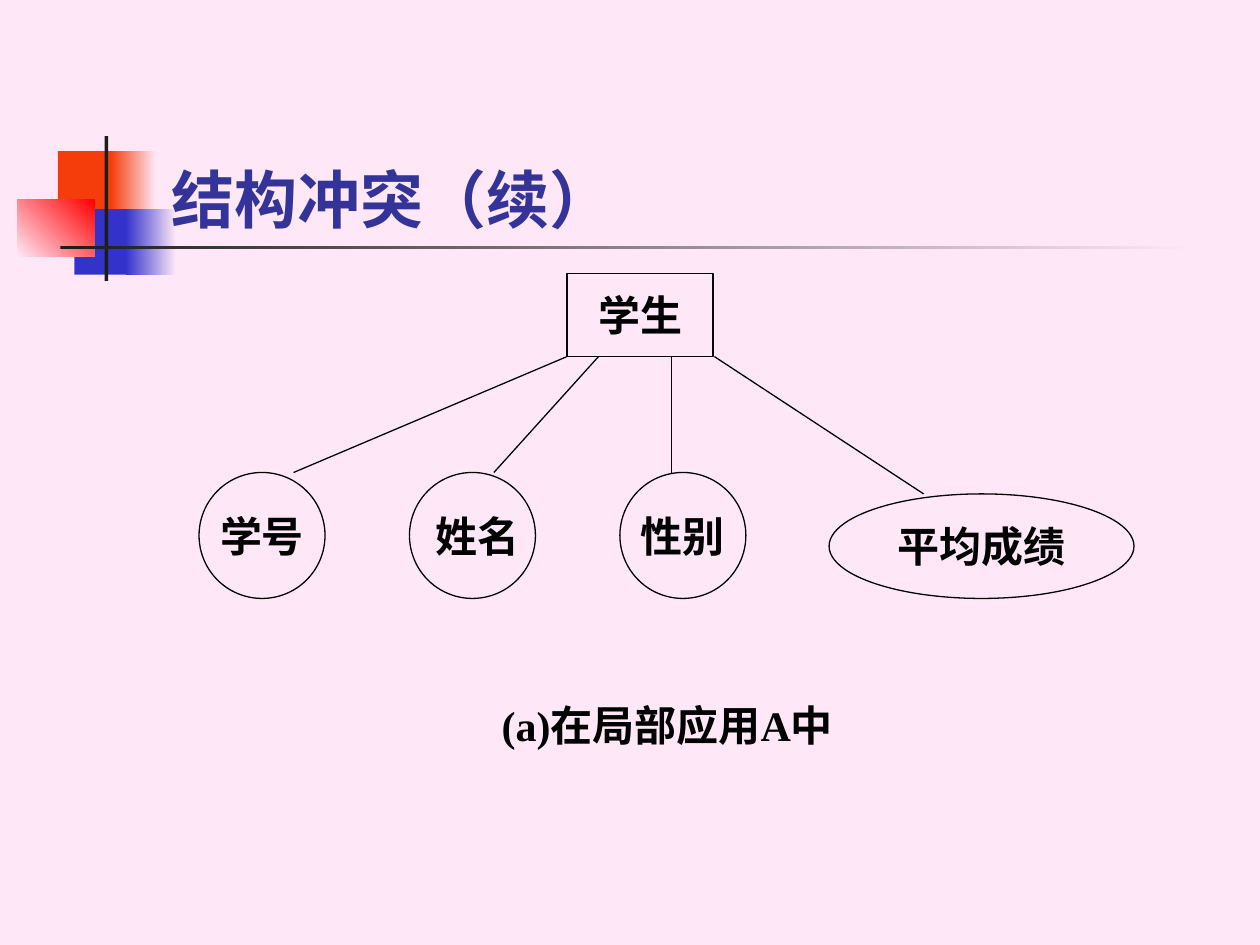
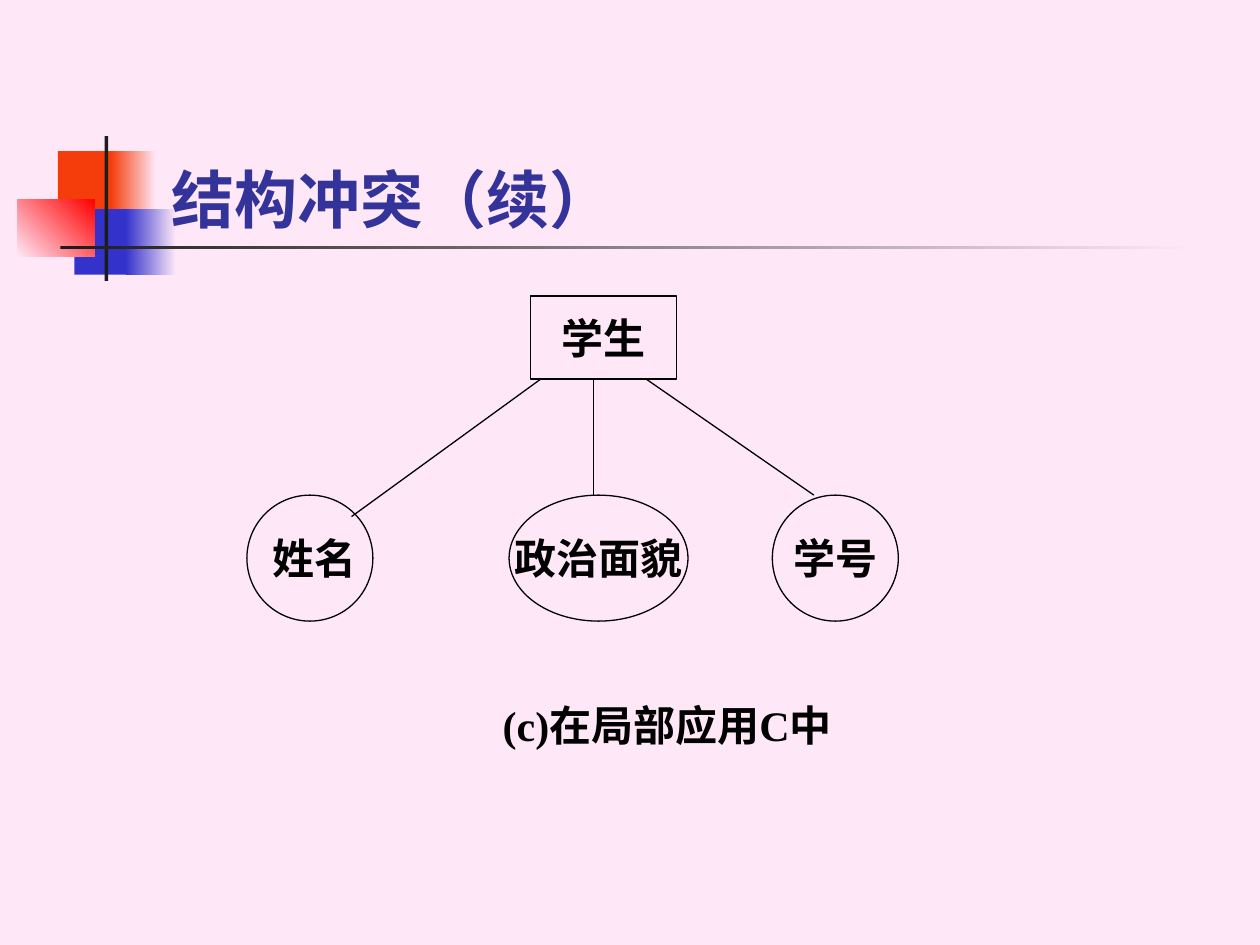
from dataclasses import dataclass

from lxml import etree
from pptx import Presentation
from pptx.dml.color import RGBColor
from pptx.enum.shapes import MSO_CONNECTOR, MSO_SHAPE
from pptx.enum.text import MSO_ANCHOR, PP_ALIGN
from pptx.oxml.ns import qn
from pptx.util import Inches, Pt

RECT, ELLIPSE = MSO_SHAPE.RECTANGLE, MSO_SHAPE.OVAL
STRAIGHT = MSO_CONNECTOR.STRAIGHT
LEFT, CENTER = PP_ALIGN.LEFT, PP_ALIGN.CENTER
MIDDLE, BOTTOM = MSO_ANCHOR.MIDDLE, MSO_ANCHOR.BOTTOM


@dataclass(frozen=True)
class Theme:
    paper: str = "FEE8F7"
    ink: str = "000000"
    title: str = "333399"
    orange: str = "F53D0B"
    blue: str = "3333CC"
    red: str = "FF0000"
    bar: str = "1C1C1C"
    title_font: str = "Lato"
    body_font: str = "Times New Roman"
    title_size: int = 36
    body_size: int = 24
    line_width: float = 0.75


@dataclass(frozen=True)
class Attribute:
    """An attribute ellipse and the line that joins it to its entity."""
    label: str
    left: float
    line_from: float
    line_to: float
    width: float = 1
    drop: float = 0       # ellipse top below the attribute row
    line_drop: float = 0  # line end below the attribute row


THEME = Theme()

# Corner ornament: position, colours (two make a gradient), gradient angle
ORNAMENT = [
    ((0.46, 1.2, 0.48, 0.52), (THEME.orange,), 0),
    ((0.88, 1.2, 0.36, 0.52), (THEME.orange, THEME.paper), 0),
    ((0.59, 1.66, 0.46, 0.52), (THEME.blue,), 0),
    ((1, 1.66, 0.4, 0.52), (THEME.blue, THEME.paper), 0),
    ((0.14, 1.58, 0.61, 0.46), (THEME.paper, THEME.red), 45),
    ((0.83, 1.08, 0.03, 1.15), (THEME.bar,), 0),
    ((0.48, 1.95, 9, 0.03), (THEME.bar, THEME.paper), 0),
]

ENTITY_WIDTH, ENTITY_HEIGHT = 1.16, 0.66
ROW_OFFSET = 1.58  # from the entity's top to the attribute row
TITLE = "结构冲突（续）"

# Caption, entity position, attributes
DIAGRAMS = [
    ("(a)在局部应用A中", (4.5, 2.17), [
        Attribute("学号", 1.58, 4.5, 2.33),
        Attribute(" 姓名", 3.25, 4.75, 3.92),
        Attribute("性别", 4.92, 5.33, 5.33),
        Attribute("平均成绩", 6.58, 5.67, 7.33, width=2.42, drop=0.17, line_drop=0.17),
    ]),
    ("(c)在局部应用C中", (4.21, 2.35), [
        Attribute(" 姓名", 1.96, 4.29, 2.79, line_drop=0.17),
        Attribute("政治面貌", 4.04, 4.71, 4.71, width=1.42),
        Attribute("学号", 6.13, 5.13, 6.46),
    ]),
]


def inches(values):
    return [Inches(value) for value in values]


def rgb(colour):
    return RGBColor.from_string(colour)


class Deck:
    def __init__(self, theme):
        self.theme = theme
        self.prs = Presentation()
        self.prs.slide_width, self.prs.slide_height = Inches(10), Inches(7.5)
        paper = self.prs.slide_master.background.fill
        paper.solid()
        paper.fore_color.rgb = rgb(theme.paper)
        self.slide = None

    def new_slide(self, title):
        self.slide = self.prs.slides.add_slide(self.prs.slide_layouts[6])
        for box, colours, angle in ORNAMENT:
            self.block(box, colours, angle)
        t = self.theme
        self.text((1.26, 0.67, 8.52, 1.25), title, anchor=BOTTOM, align=LEFT,
                  wrap=True, font=t.title_font, size=t.title_size, colour=t.title)

    def block(self, box, colours, angle):
        """Draw an ornament rectangle, plain or shaded."""
        block = self.slide.shapes.add_shape(RECT, *inches(box))
        block.shadow.inherit = False
        block.line.fill.background()
        if len(colours) == 1:
            block.fill.solid()
            block.fill.fore_color.rgb = rgb(colours[0])
        else:
            block.fill.gradient()
            block.fill.gradient_angle = angle
            for stop, colour in zip(block.fill.gradient_stops, colours):
                stop.color.rgb = rgb(colour)

    def outline(self, line):
        line.color.rgb = rgb(self.theme.ink)
        line.width = Pt(self.theme.line_width)

    def set_words(self, frame, words, anchor=MIDDLE, align=CENTER, wrap=False,
                  font=None, size=None, colour=None):
        frame.word_wrap = wrap
        frame.vertical_anchor = anchor
        paragraph = frame.paragraphs[0]
        paragraph.alignment = align
        run = paragraph.add_run()
        run.text = words
        run.font.color.rgb = rgb(colour or self.theme.ink)
        formats = {"name": font or self.theme.body_font,
                   "size": Pt(size or self.theme.body_size),
                   "bold": True}
        for name, value in formats.items():
            setattr(run.font, name, value)

    def text(self, box, words, **style):
        self.set_words(self.slide.shapes.add_textbox(*inches(box)).text_frame, words, **style)

    def node(self, kind, box, label):
        node = self.slide.shapes.add_shape(kind, *inches(box))
        node.shadow.inherit = False
        node.fill.background()
        self.outline(node.line)
        self.set_words(node.text_frame, label)

    def link(self, start, end):
        link = self.slide.shapes.add_connector(STRAIGHT, *inches(start + end))
        self.outline(link.line)
        etree.SubElement(link._element.spPr, qn("a:effectLst"))

    def diagram(self, entity, attributes):
        """Draw the entity 学生 above its row of attributes."""
        left, top = entity
        row = top + ROW_OFFSET
        self.node(RECT, (left, top, ENTITY_WIDTH, ENTITY_HEIGHT), "学生")
        for item in attributes:
            self.node(ELLIPSE, (item.left, row + item.drop, item.width, 1 - item.drop),
                      item.label)
        for item in attributes:
            self.link((item.line_from, top + ENTITY_HEIGHT),
                      (item.line_to, row + item.line_drop))


def main():
    deck = Deck(THEME)
    for caption, entity, attributes in DIAGRAMS:
        deck.new_slide(TITLE)
        deck.diagram(entity, attributes)
        deck.text((3.67, 5.42, 3.25, 0.67), caption)
    deck.prs.save("out.pptx")


if __name__ == "__main__":
    main()
